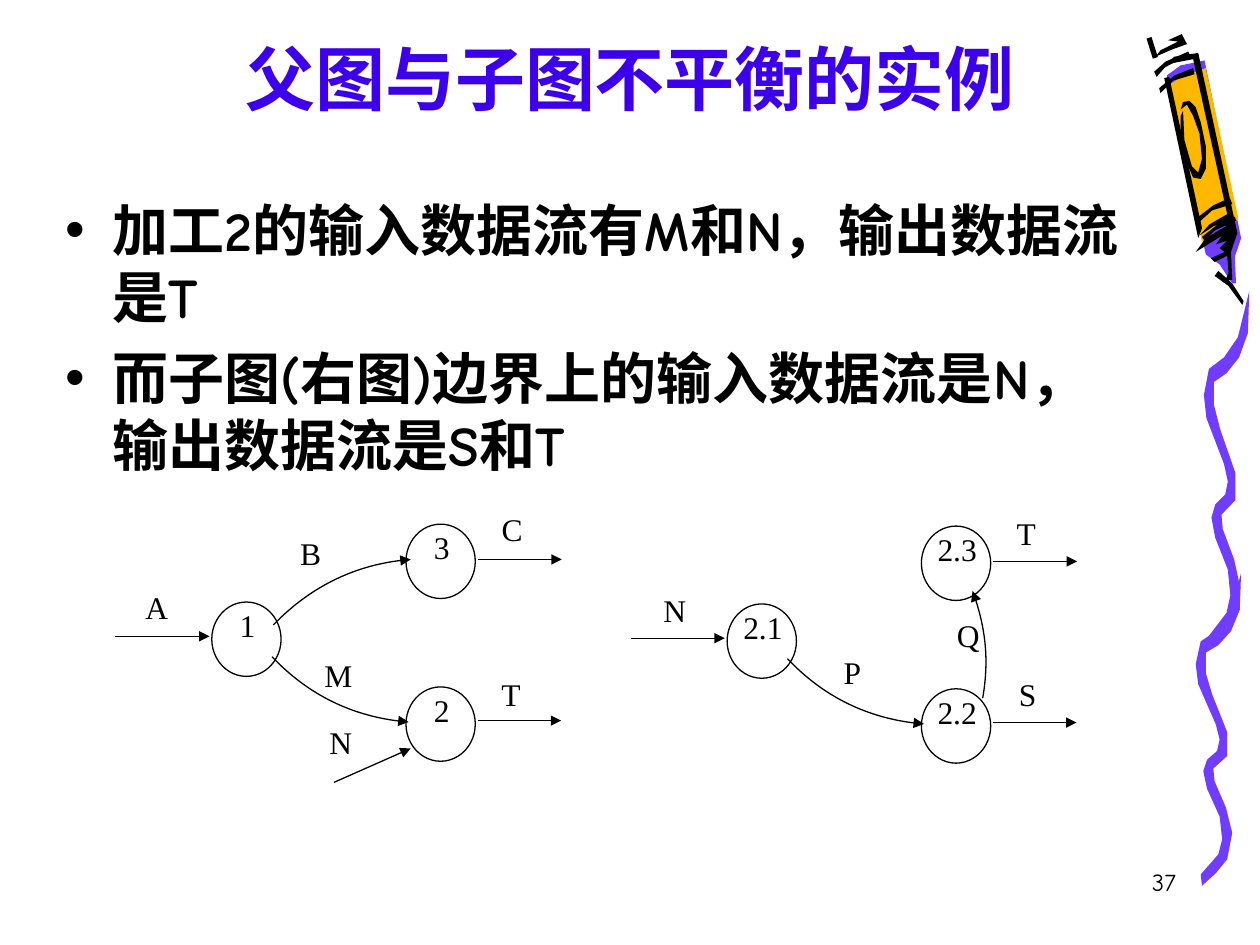
from dataclasses import dataclass

from lxml import etree
from pptx import Presentation
from pptx import util as u
from pptx.dml.color import RGBColor
from pptx.enum import shapes, text
from pptx.oxml import ns


@dataclass(frozen=True)
class Theme:
    black: str = "000000"
    white: str = "FFFFFF"
    title_ink: str = "3D00EA"
    purple: str = "703DFF"
    amber: str = "FFB800"
    main_font: str = "Comic Neue"
    diagram_font: str = "Times New Roman"
    title_size: float = 40
    body_size: float = 32
    diagram_size: float = 18
    number_size: float = 14
    hairline: float = 0.75


@dataclass(frozen=True)
class Label:
    words: str
    x: float
    y: float


@dataclass(frozen=True)
class Diagram:
    dx: float
    dy: float
    nodes: tuple  # names of the left, lower right and upper right process
    labels: tuple
    arcs: tuple
    extra_arrows: tuple = ()


@dataclass(frozen=True)
class Outline:
    color: str
    points: tuple


THEME = Theme()
ART_UNIT = 0.72  # points per step of the drawing grid of the crayon and ribbon

# Ribbon: one outline, drawn twice with a different origin and height
RIBBON = (
    (953, 694), (967, 678), (970, 666), (968, 648), (958, 626), (955, 612), (958, 603),
    (966, 596), (968, 587), (965, 575), (951, 543), (949, 527), (953, 509), (965, 501),
    (976, 487), (985, 455), (984, 484), (977, 501), (967, 512), (957, 518), (957, 534),
    (962, 551), (974, 581), (974, 600), (963, 610), (964, 620), (973, 641), (978, 661),
    (974, 682), (965, 693), (954, 703))

CRAYON = (
    # Body
    Outline(THEME.white, (
        (950, 44), (930, 47), (919, 57), (949, 197), (962, 207), (972, 220), (976, 219),
        (975, 198), (979, 185))),
    Outline(THEME.purple, (
        (926, 60), (957, 202), (968, 210), (978, 225), (981, 225), (980, 204), (985, 189),
        (956, 48), (937, 52))),
    Outline(THEME.amber, (
        (954, 192), (968, 179), (983, 174), (957, 54), (936, 62), (927, 68))),
    # Tip and tail strokes
    Outline(THEME.black, (
        (964, 219), (975, 227), (986, 242), (987, 239), (978, 225), (967, 215))),
    Outline(THEME.black, (
        (917, 45), (931, 39), (942, 35), (938, 27), (927, 32), (935, 33), (921, 40))),
    # Oval on the wrapper
    Outline(THEME.black, (
        (937, 92), (937, 106), (941, 127), (947, 141), (953, 142), (957, 134), (957, 116),
        (953, 97), (949, 85), (944, 80), (939, 81), (937, 87), (942, 83), (947, 92),
        (952, 106), (954, 126), (951, 137), (946, 132), (940, 111), (939, 88))),
    # Edges
    Outline(THEME.black, ((924, 62), (951, 189), (954, 181), (928, 61))),
    Outline(THEME.black, (
        (949, 200), (957, 189), (974, 179), (964, 179), (952, 187), (960, 178), (974, 170),
        (947, 47), (931, 50), (920, 56), (932, 45), (951, 42), (982, 185), (977, 200),
        (978, 222), (972, 223), (975, 217), (974, 203), (964, 208), (961, 205), (972, 200),
        (968, 197), (974, 191), (965, 194), (970, 187))),
    # Bands
    Outline(THEME.black, (
        (956, 191), (964, 183), (981, 175), (980, 172), (969, 176), (954, 188))),
    Outline(THEME.black, (
        (951, 177), (962, 167), (978, 162), (976, 157), (963, 163), (950, 173))),
    Outline(THEME.black, (
        (921, 74), (931, 64), (948, 59), (947, 54), (932, 60), (920, 70))),
    Outline(THEME.black, (
        (918, 61), (926, 52), (945, 45), (943, 41), (925, 49), (916, 57))),
)

# Geometry that both data flow diagrams share
NODE_SPOTS = ((121, 344), (232, 392.5), (232, 299.5))
NODE_SIZE = (39.6, 42.5)
SHARED_ARROWS = ((66, 363.6, 119.7, 363.6), (272.9, 411.8, 320.7, 411.8),
                 (272.9, 319.7, 321, 319.7))
LOWER_ARC = ((155.5, 375.3), (176.4, 397.4), (204.5, 410.4), (233.5, 412.6))
UPPER_ARC = ((156.2, 357.1), (177.1, 335.5), (205.2, 321.8), (234.7, 319.7))
RISING_ARC = ((267.1, 397.8), (270.7, 376.9), (268.5, 356), (261.3, 336.6))

DIAGRAMS = (
    Diagram(0, 0, ("1", "2", "3"),
            (Label("A", 72, 332.6), Label("B", 159.8, 301.7), Label("C", 275, 288),
             Label("M", 175.7, 371.5), Label("N", 177.1, 409.7), Label("T", 274.3, 382.3)),
            (UPPER_ARC, LOWER_ARC), ((190.8, 447.1, 234.7, 427.7),)),
    Diagram(294.5, 1.1, ("2.1", "2.2", "2.3"),
            (Label("N", 73.4, 333), Label("P", 174.9, 368.3), Label("S", 275, 381.2),
             Label("T", 274.3, 289.1), Label("Q", 241.2, 347.4)),
            (RISING_ARC, LOWER_ARC)),
)


def pts(*values: float) -> list:
    return [u.Pt(value) for value in values]


def add_span(para, words: str, font: str, size: float, color: str, bold: bool = False) -> None:
    span = para.add_run()
    span.text = words
    span.font.name, span.font.size, span.font.bold = font, u.Pt(size), bold
    span.font.color.rgb = RGBColor.from_string(color)
    east_asian = etree.SubElement(span.font._element, ns.qn("a:ea"))
    east_asian.set("typeface", font)


def add_label(page, words: str, area: tuple, font: str, size: float, align) -> None:
    box = page.shapes.add_textbox(*pts(*area))
    box.text_frame.word_wrap = True
    para = box.text_frame.paragraphs[0]
    para.alignment = align
    add_span(para, words, font, size, THEME.black)


def style_line(shape, width: float, arrow: bool = True) -> None:
    shape.line.color.rgb = RGBColor.from_string(THEME.black)
    shape.line.width = u.Pt(width)
    if arrow:
        head = etree.SubElement(shape.line._get_or_add_ln(), ns.qn("a:tailEnd"))
        head.set("type", "triangle")


def add_line(page, ends: tuple, width: float, arrow: bool = True) -> None:
    line = page.shapes.add_connector(shapes.MSO_CONNECTOR.STRAIGHT, *pts(*ends))
    style_line(line, width, arrow)
    etree.SubElement(line._element.spPr, ns.qn("a:effectLst"))


def add_freeform(page, points: list, close: bool):
    start, *rest = [tuple(pts(*point)) for point in points]
    builder = page.shapes.build_freeform(*start)
    builder.add_line_segments(rest, close=close)
    shape = builder.convert_to_shape()
    shape.shadow.inherit = False
    return shape


def add_outline(page, color: str, points: list) -> None:
    shape = add_freeform(page, [(x * ART_UNIT, y * ART_UNIT) for x, y in points], True)
    shape.fill.solid()
    shape.fill.fore_color.rgb = RGBColor.from_string(color)
    shape.line.fill.background()


def add_arc(page, points: list) -> None:
    shape = add_freeform(page, points, False)
    shape.fill.background()
    style_line(shape, THEME.hairline)
    # Turn the three straight segments into one Bézier curve
    segments = list(shape._element.iter(ns.qn("a:lnTo")))
    curve = etree.SubElement(segments[0].getparent(), ns.qn("a:cubicBezTo"))
    for segment in segments:
        curve.append(segment[0])
        segment.getparent().remove(segment)


def add_diagram(page, diagram: Diagram) -> None:
    dx, dy = diagram.dx, diagram.dy
    center = text.PP_ALIGN.CENTER
    font, size = THEME.diagram_font, THEME.diagram_size
    for name, (x, y) in zip(diagram.nodes, NODE_SPOTS):
        add_label(page, name, (x + dx, y + dy - 1.2, 41, 37.4), font, size, center)
        node = page.shapes.add_shape(shapes.MSO_SHAPE.OVAL, *pts(x + dx, y + dy, *NODE_SIZE))
        node.shadow.inherit = False
        node.fill.background()
        style_line(node, THEME.hairline, arrow=False)
    for arc in diagram.arcs:
        add_arc(page, [(x + dx, y + dy) for x, y in arc])
    for x1, y1, x2, y2 in SHARED_ARROWS + diagram.extra_arrows:
        add_line(page, (x1 + dx, y1 + dy, x2 + dx, y2 + dy), THEME.hairline)
    for label in diagram.labels:
        add_label(page, label.words, (label.x + dx, label.y + dy, 35.3, 35.3), font, size, center)


def place(holder, area: tuple, anchor):
    holder.left, holder.top, holder.width, holder.height = pts(*area)
    frame = holder.text_frame
    frame.auto_size, frame.vertical_anchor = text.MSO_AUTO_SIZE.NONE, anchor
    return frame


def add_texts(page) -> None:
    title = place(page.shapes.title, (36, 12, 648, 60), text.MSO_ANCHOR.BOTTOM).paragraphs[0]
    title.alignment = text.PP_ALIGN.CENTER
    add_span(title, "父图与子图不平衡的实例", THEME.main_font, THEME.title_size,
             THEME.title_ink, True)
    body = place(page.placeholders[1], (30, 108, 624, 180), text.MSO_ANCHOR.TOP)
    points = ("加工2的输入数据流有M和N，输出数据流是T",
              "而子图(右图)边界上的输入数据流是N，输出数据流是S和T")
    for index, words in enumerate(points):
        para = body.add_paragraph() if index else body.paragraphs[0]
        props = para._p.get_or_add_pPr()
        props.set("marL", str(u.Pt(27)))
        props.set("indent", str(u.Pt(-27)))
        etree.SubElement(props, ns.qn("a:buChar")).set("char", "•")
        para.space_before = u.Pt(8 if index else 0)
        add_span(para, words, THEME.main_font, THEME.body_size, THEME.black, True)


def main() -> None:
    deck = Presentation()
    deck.slide_width, deck.slide_height = pts(720, 540)
    page = deck.slides.add_slide(deck.slide_layouts[1])
    # Ribbon and crayon
    add_outline(page, THEME.purple, RIBBON)
    add_outline(page, THEME.purple, [(x + 6.5, 231 + (y - 455) * 1.145) for x, y in RIBBON])
    for outline in CRAYON:
        add_outline(page, outline.color, outline.points)
    add_line(page, (656.6, 21.6, 660.2, 33.1), 3, arrow=False)
    # Words and diagrams
    add_texts(page)
    add_label(page, "37", (529.2, 491.8, 149.8, 36), THEME.main_font, THEME.number_size,
              text.PP_ALIGN.RIGHT)
    for diagram in DIAGRAMS:
        add_diagram(page, diagram)
    deck.save("out.pptx")


if __name__ == "__main__":
    main()
